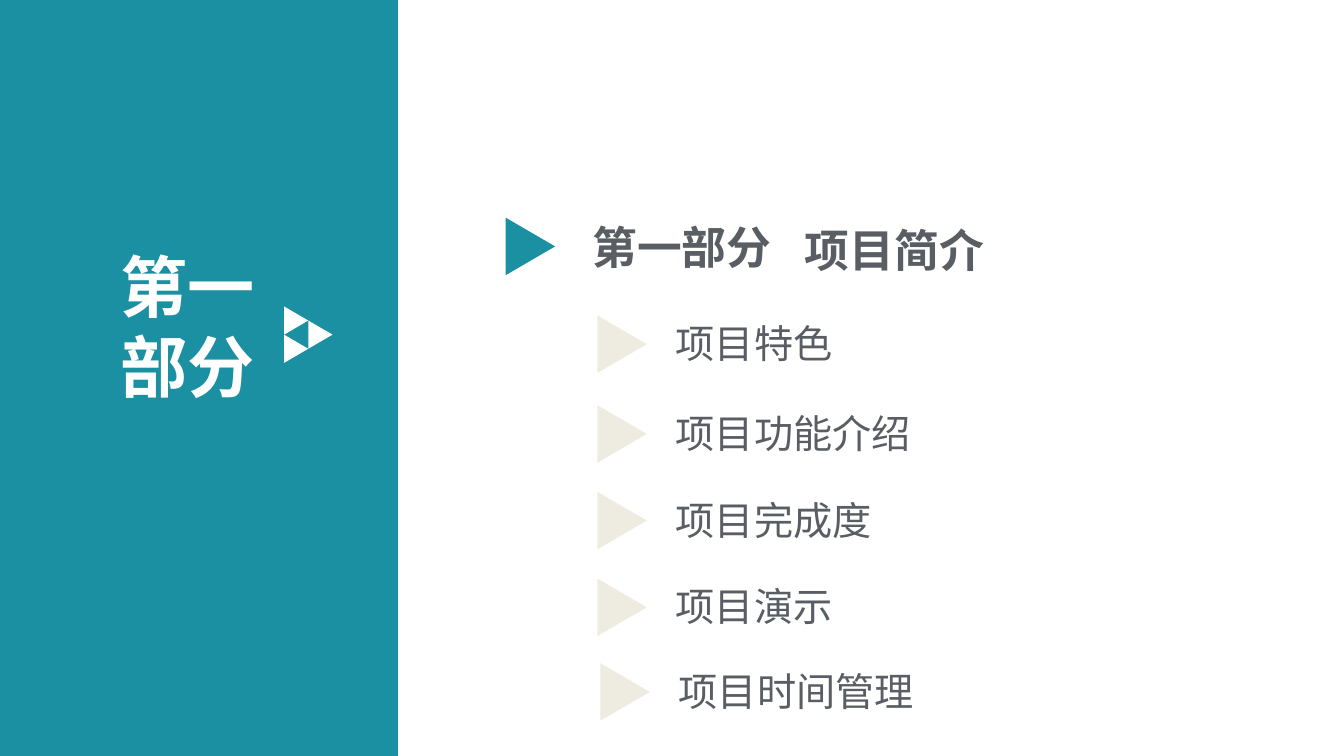
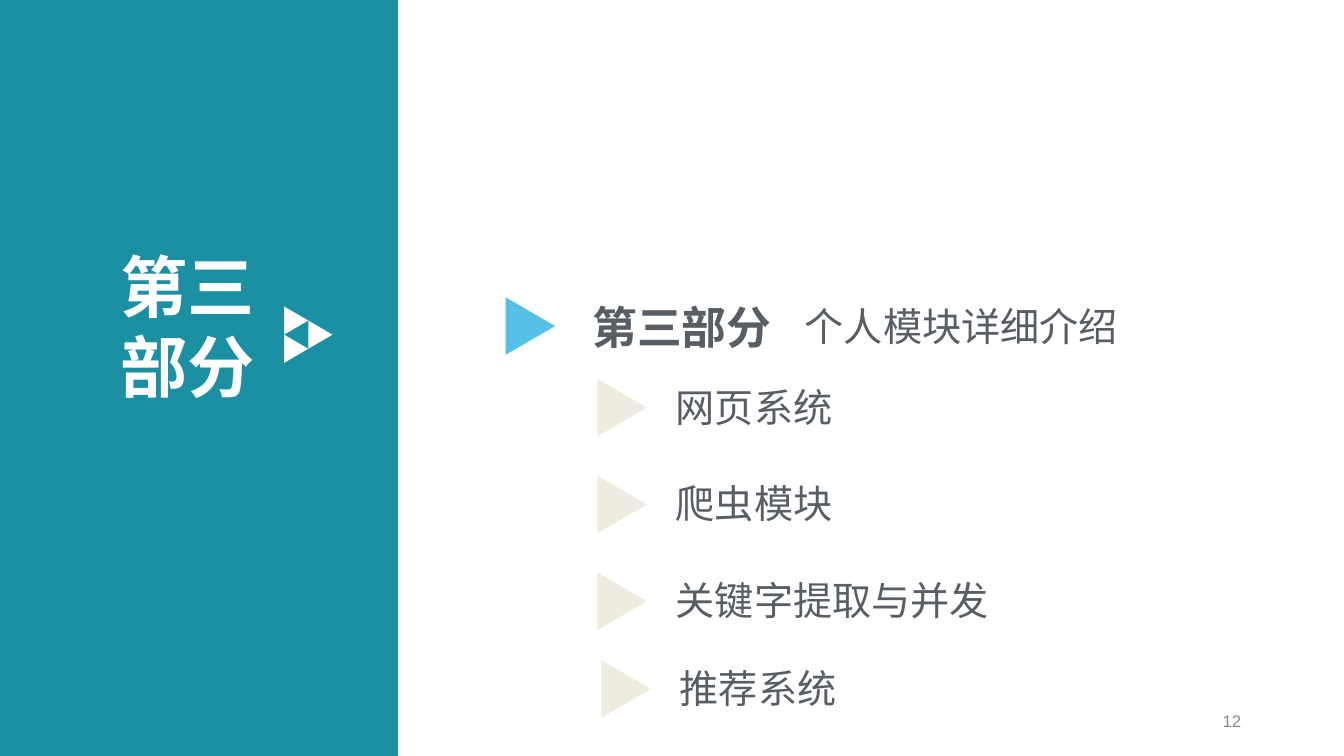
from lxml import etree
from pptx import Presentation
from pptx.dml.color import RGBColor
from pptx.enum.shapes import MSO_SHAPE
from pptx.enum.text import MSO_ANCHOR, MSO_AUTO_SIZE, PP_ALIGN
from pptx.oxml.ns import qn
from pptx.util import Inches, Pt

RECTANGLE = MSO_SHAPE.RECTANGLE
TRIANGLE = MSO_SHAPE.ISOSCELES_TRIANGLE
LEFT, RIGHT = PP_ALIGN.LEFT, PP_ALIGN.RIGHT
MIDDLE = MSO_ANCHOR.MIDDLE
FIT_TEXT = MSO_AUTO_SIZE.SHAPE_TO_FIT_TEXT

COLORS = {
    "teal": "1B90A2",
    "sky": "55C1E7",
    "sand": "EEECE1",
    "text": "595E64",
    "number": "898989",
    "white": "FFFFFF",
}
HEADING_FONT = "Noto Sans CJK SC"
NUMBER_FONT = "Arial"
SLIDE_WIDTH, SLIDE_HEIGHT = 13.34, 7.5
PANEL_WIDTH = 3.95
MARKER_WIDTH, MARKER_HEIGHT = 0.49, 0.57
ROW_LEFT = 5.93


def rgb(color):
    return RGBColor.from_string(COLORS[color])


def add_filled(shapes, preset, left, top, width, height, color):
    shape = shapes.add_shape(
        preset, Inches(left), Inches(top), Inches(width), Inches(height))
    shape.shadow.inherit = False
    shape.fill.solid()
    shape.fill.fore_color.rgb = rgb(color)
    shape.line.fill.background()
    return shape


def add_right_triangle(shapes, left, top, width, height, color):
    """Place a triangle pointing right whose visible box is the one given."""
    shift = (height - width) / 2
    triangle = add_filled(
        shapes, TRIANGLE, left - shift, top + shift, height, width, color)
    triangle.rotation = 90


def add_text(shapes, text, left, top, width, height, size, color="text",
             bold=False, name=HEADING_FONT, align=LEFT):
    box = shapes.add_textbox(
        Inches(left), Inches(top), Inches(width), Inches(height))
    frame = box.text_frame
    frame.word_wrap = True
    frame.auto_size = FIT_TEXT
    paragraph = frame.paragraphs[0]
    paragraph.text = text
    paragraph.alignment = align
    font = paragraph.font
    font.name = name
    font.size = Pt(size)
    font.bold = bold
    font.color.rgb = rgb(color)
    defaults = paragraph._p.pPr.find(qn("a:defRPr"))
    etree.SubElement(defaults, qn("a:ea"), typeface=name)
    return box


def add_section_panel(slide, section):
    add_filled(slide.shapes, RECTANGLE, 0, 0, PANEL_WIDTH, SLIDE_HEIGHT, "teal")
    add_text(slide.shapes, section, 1.1, 2.38, 1.74, 1.7, 48, "white", bold=True)
    add_emblem(slide, 2.82, 3.04, 0.24, 0.28)


def add_emblem(slide, left, top, width, height):
    """Stack two small triangles and set a third to their right."""
    shapes = slide.shapes.add_group_shape().shapes
    for column, row in ((0, 0), (0, 1), (1, 0.5)):
        add_right_triangle(shapes, left + column * width, top + row * height,
                           width, height, "white")


def add_section_heading(slide, section, title, top, marker_color,
                        title_size, title_bold):
    shapes = slide.shapes.add_group_shape().shapes
    add_right_triangle(shapes, 5.02, top + 0.03, MARKER_WIDTH, MARKER_HEIGHT,
                       marker_color)
    add_text(shapes, section, 5.78, top, 2.11, 0.64, 32, bold=True)
    add_text(shapes, title, 7.89, top + 0.03, 4, 0.64, title_size,
             bold=title_bold)


def add_topic(slide, text, left, top):
    shapes = slide.shapes.add_group_shape().shapes
    add_right_triangle(shapes, left, top + 0.01, MARKER_WIDTH, MARKER_HEIGHT,
                       "sand")
    add_text(shapes, text, left + 0.68, top, 4, 0.57, 28)


def add_slide_number(slide, number):
    box = add_text(slide.shapes, number, 9.42, 6.95, 3, 0.4, 12, "number",
                   name=NUMBER_FONT, align=RIGHT)
    box.text_frame.auto_size = MSO_AUTO_SIZE.NONE
    box.text_frame.vertical_anchor = MIDDLE


def add_section_slide(presentation, section, title, heading_top, topics,
                      marker_color="teal", title_size=32, title_bold=True,
                      number=None):
    slide = presentation.slides.add_slide(presentation.slide_layouts[6])
    if number:
        add_slide_number(slide, number)
    add_section_panel(slide, section)
    add_section_heading(slide, section, title, heading_top, marker_color,
                        title_size, title_bold)
    for text, indent, top in topics:
        add_topic(slide, text, ROW_LEFT + indent, top)


def main():
    presentation = Presentation()
    presentation.slide_width = Inches(SLIDE_WIDTH)
    presentation.slide_height = Inches(SLIDE_HEIGHT)
    add_section_slide(
        presentation, "第一部分", "项目简介", 2.13,
        [("项目特色", 0, 3.12),
         ("项目功能介绍", 0, 4.01),
         ("项目完成度", 0, 4.87),
         ("项目演示", 0, 5.73),
         ("项目时间管理", 0.03, 6.57)])
    add_section_slide(
        presentation, "第三部分", "个人模块详细介绍", 2.92,
        [("网页系统", 0, 3.75),
         ("爬虫模块", 0, 4.71),
         ("关键字提取与并发", 0, 5.67),
         ("推荐系统", 0.04, 6.54)],
        marker_color="sky", title_size=28, title_bold=False, number="12")
    presentation.save("out.pptx")


if __name__ == "__main__":
    main()
